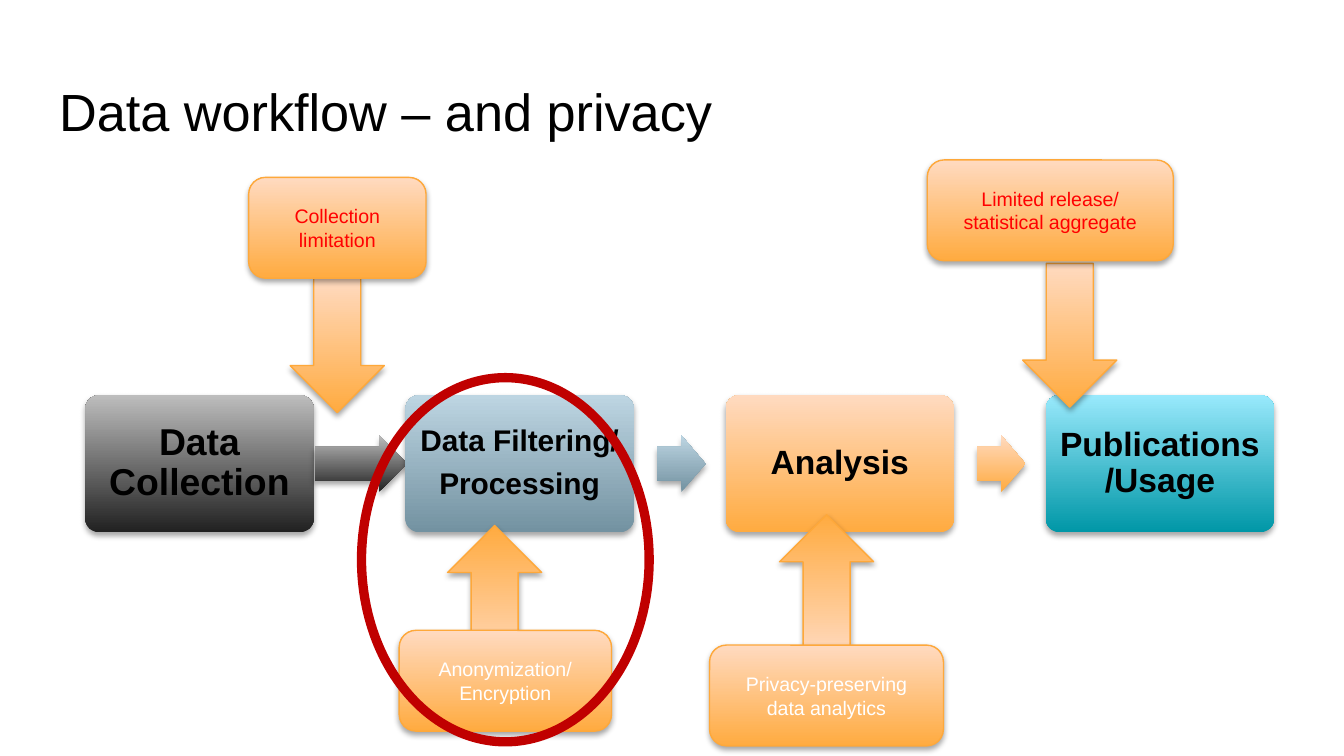
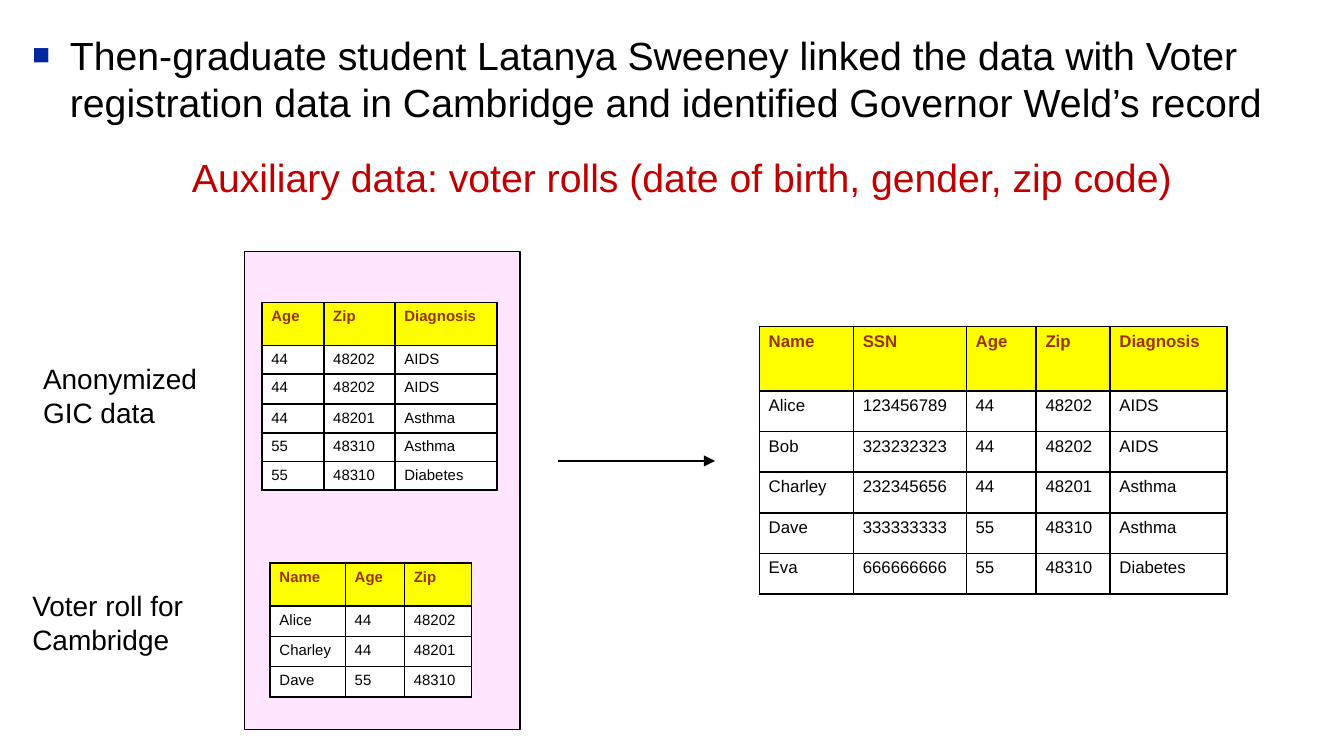
from lxml import etree
from pptx import Presentation
from pptx.dml.color import RGBColor
from pptx.enum.shapes import MSO_CONNECTOR, MSO_SHAPE
from pptx.enum.text import MSO_ANCHOR, MSO_AUTO_SIZE, PP_ALIGN
from pptx.oxml.ns import qn
from pptx.util import Inches, Pt

BLACK = RGBColor(0x00, 0x00, 0x00)
WHITE = RGBColor(0xFF, 0xFF, 0xFF)
RED = RGBColor(0xFF, 0x00, 0x00)
DARK_RED = RGBColor(0xC0, 0x00, 0x00)
ORANGE_LINE = RGBColor(0xFE, 0xA8, 0x3A)
PINK = RGBColor(0xFF, 0xCC, 0xFF)
YELLOW = RGBColor(0xFF, 0xFF, 0x00)
BROWN = RGBColor(0x99, 0x33, 0x00)
BULLET_BLUE = RGBColor(0x00, 0x27, 0x9F)
GREY_BLEND = (RGBColor(0x21, 0x21, 0x21), RGBColor(0xBD, 0xBD, 0xBD))
SLATE_BLEND = (RGBColor(0x73, 0x92, 0xA1), RGBColor(0xBD, 0xD5, 0xE2))
ORANGE_BLEND = (RGBColor(0xFF, 0xAB, 0x40), RGBColor(0xFF, 0xDA, 0xC0))
TEAL_BLEND = (RGBColor(0x00, 0x97, 0xA7), RGBColor(0x99, 0xE9, 0xFC))

FONT = "Arial"
COLUMNS, ROWS = 100, 56.25
TITLE_INSETS = (0.1, 0.1)
TIGHT_INSETS = (0.07, 0.04)
STEP_INSETS = (0.07, 0.07)
PLAIN_INSETS = (0.1, 0.05)


def grid(units):
    return Inches(units / 10)


def add_element(parent, tag, **attributes):
    element = etree.SubElement(parent, qn(tag))
    for name, value in attributes.items():
        element.set(name, str(value))
    return element


class Painter:
    def __init__(self):
        self.deck = Presentation()
        self.deck.slide_width = grid(COLUMNS)
        self.deck.slide_height = grid(ROWS)
        self.page = None

    def new_page(self, layout):
        self.page = self.deck.slides.add_slide(self.deck.slide_layouts.get_by_name(layout))

    def fill_frame(self, frame, lines, size, color=BLACK, bold=False, align=PP_ALIGN.LEFT,
                   anchor=MSO_ANCHOR.TOP, insets=PLAIN_INSETS, spacing=None, after=0):
        frame.word_wrap = True
        frame.vertical_anchor = anchor
        frame.margin_left = frame.margin_right = Inches(insets[0])
        frame.margin_top = frame.margin_bottom = Inches(insets[1])
        for index, line in enumerate(lines):
            para = frame.add_paragraph() if index else frame.paragraphs[0]
            self.add_span(para, line, size, color, bold, align)
            para.space_after = Pt(after)
            if spacing:
                para.line_spacing = spacing

    def add_span(self, para, text, size, color, bold, align):
        para.alignment = align
        span = para.add_run()
        span.text = text
        span.font.name = FONT
        span.font.size = Pt(size)
        span.font.bold = bold
        span.font.color.rgb = color

    def title(self, text, place):
        box = self.page.shapes.title
        box.left, box.top, box.width, box.height = map(grid, place)
        box.text_frame.auto_size = MSO_AUTO_SIZE.NONE
        self.fill_frame(box.text_frame, [text], 28, insets=TITLE_INSETS)

    def text(self, text, place, size, **style):
        box = self.page.shapes.add_textbox(*map(grid, place))
        self.fill_frame(box.text_frame, [text], size, **style)
        return box

    def bullet(self, text, place, size):
        box = self.text(text, place, size, insets=TIGHT_INSETS)
        properties = box.text_frame.paragraphs[0]._p.get_or_add_pPr()
        properties.set("marL", str(Inches(0.28)))
        properties.set("indent", str(Inches(-0.28)))
        color = add_element(properties, "a:buClr")
        add_element(color, "a:srgbClr", val=BULLET_BLUE)
        add_element(properties, "a:buSzPct", val=75000)
        add_element(properties, "a:buFont", typeface=FONT)
        add_element(properties, "a:buChar", char="■")

    def shape(self, kind, place, line=None, weight=0.75):
        shape = self.page.shapes.add_shape(kind, *map(grid, place))
        shape.shadow.inherit = False
        shape.fill.background()
        if line is None:
            shape.line.fill.background()
        else:
            shape.line.color.rgb = line
            shape.line.width = Pt(weight)
        return shape

    def blended(self, kind, place, blend, line=None):
        shape = self.shape(kind, place, line)
        shape.fill.gradient()
        shape.fill.gradient_angle = 90
        for stop, color in zip(shape.fill.gradient_stops, blend):
            stop.color.rgb = color
        effects = shape._element.spPr.find(qn("a:effectLst"))
        shadow = add_element(effects, "a:outerShdw", blurRad=Pt(3.1), dist=Pt(1.8),
                             dir=90 * 60000, rotWithShape=0)
        color = add_element(shadow, "a:srgbClr", val=BLACK)
        add_element(color, "a:alpha", val=35000)
        return shape

    def step(self, lines, size, place, blend):
        shape = self.blended(MSO_SHAPE.ROUNDED_RECTANGLE, place, blend)
        shape.adjustments[0] = 0.1
        self.fill_frame(shape.text_frame, lines, size, bold=True, align=PP_ALIGN.CENTER,
                        anchor=MSO_ANCHOR.MIDDLE, insets=STEP_INSETS, spacing=0.9,
                        after=0.35 * size)

    def step_arrow(self, place, blend):
        arrow = self.blended(MSO_SHAPE.RIGHT_ARROW, place, blend)
        arrow.adjustments[0] = 0.6

    def callout(self, lines, color, place, arrow_place, points_up):
        arrow = self.blended(MSO_SHAPE.DOWN_ARROW, arrow_place, ORANGE_BLEND, ORANGE_LINE)
        arrow.rotation = 180 if points_up else 0
        box = self.blended(MSO_SHAPE.ROUNDED_RECTANGLE, place, ORANGE_BLEND, ORANGE_LINE)
        self.fill_frame(box.text_frame, lines, 10.5, color, align=PP_ALIGN.CENTER,
                        anchor=MSO_ANCHOR.MIDDLE)

    def panel(self, place, color, opacity):
        panel = self.shape(MSO_SHAPE.RECTANGLE, place, BLACK)
        panel.fill.solid()
        panel.fill.fore_color.rgb = color
        value = panel._element.spPr.find(qn("a:solidFill")).find(qn("a:srgbClr"))
        add_element(value, "a:alpha", val=opacity * 1000)

    def arrow(self, start, end):
        arrow = self.page.shapes.add_connector(MSO_CONNECTOR.STRAIGHT, *map(grid, start + end))
        arrow.line.color.rgb = BLACK
        arrow.line.width = Pt(0.75)
        properties = arrow._element.spPr
        add_element(properties.find(qn("a:ln")), "a:tailEnd", type="triangle")
        add_element(properties, "a:effectLst")

    def table(self, corner, widths, heights, records, size):
        frame = self.page.shapes.add_table(len(heights), len(widths), *map(grid, corner),
                                           grid(sum(widths)), grid(sum(heights)))
        table = frame.table
        table.first_row = table.horz_banding = False
        for column, width in zip(table.columns, widths):
            column.width = grid(width)
        for row, height in zip(table.rows, heights):
            row.height = grid(height)
        for row_index, record in enumerate(records):
            for column_index, value in enumerate(record):
                self.cell(table.cell(row_index, column_index), value, size, row_index == 0)

    def cell(self, cell, value, size, heading):
        cell.margin_left = cell.margin_right = Inches(TIGHT_INSETS[0])
        cell.margin_top = cell.margin_bottom = Inches(TIGHT_INSETS[1])
        properties = cell._tc.get_or_add_tcPr()
        for side in ("a:lnL", "a:lnR", "a:lnT", "a:lnB"):
            border = add_element(properties, side, w=Pt(1))
            add_element(add_element(border, "a:solidFill"), "a:srgbClr", val=BLACK)
        cell.fill.solid()
        cell.fill.fore_color.rgb = YELLOW if heading else WHITE
        self.add_span(cell.text_frame.paragraphs[0], value, size,
                      BROWN if heading else BLACK, heading, PP_ALIGN.JUSTIFY)


def build_workflow(painter):
    painter.new_page("Title Only")
    painter.title("Data workflow – and privacy", (3.4, 4.9, 93.2, 6.3))

    steps = [
        (["Data Collection"], 20, GREY_BLEND),
        (["Data Filtering/", "Processing"], 16, SLATE_BLEND),
        (["Analysis"], 18, ORANGE_BLEND),
        (["Publications/Usage"], 18, TEAL_BLEND),
    ]
    step_left, step_pitch, step_width = 6.35, 23.82, 17
    arrows = [(23.4, 6.9), (48.9, 3.6), (72.7, 3.6)]
    for index, (lines, size, blend) in enumerate(steps):
        left = step_left + index * step_pitch
        painter.step(lines, size, (left, 29.4, step_width, 10.2), blend)
        if index < len(arrows):
            arrow_left, arrow_width = arrows[index]
            painter.step_arrow((arrow_left, 32.4, arrow_width, 4.2), blend)

    callouts = [
        (["Collection limitation"], RED, (18.5, 13.2, 13.2), (21.6, 20.7, 10), False),
        (["Anonymization/", "Encryption"], WHITE, (29.7, 46.9, 15.8), (33.3, 39.1, 10.7), True),
        (["Privacy-preserving data analytics"], WHITE, (52.8, 48, 17.4), (58, 38.3, 10.7), True),
        (["Limited release/ statistical aggregate"], RED, (69, 11.9, 18.3),
         (76.1, 19.6, 10.7), False),
    ]
    for lines, color, (left, top, width), (arrow_left, arrow_top, length), up in callouts:
        painter.callout(lines, color, (left, top, width, 7.5),
                        (arrow_left, arrow_top, 7, length), up)
    painter.shape(MSO_SHAPE.OVAL, (26.9, 28.1, 21.4, 27.1), DARK_RED, 5)


def build_linkage(painter):
    people = [
        ("Name", "SSN", "Age", "Zip", "Diagnosis"),
        ("Alice", "123456789", "44", "48202", "AIDS"),
        ("Bob", "323232323", "44", "48202", "AIDS"),
        ("Charley", "232345656", "44", "48201", "Asthma"),
        ("Dave", "333333333", "55", "48310", "Asthma"),
        ("Eva", "666666666", "55", "48310", "Diabetes"),
    ]
    anonymized = [person[2:] for person in people]
    voters = [(people[index][0],) + people[index][2:4] for index in (0, 1, 3, 4)]

    painter.new_page("Blank")
    painter.panel((18.2, 18.7, 20.5, 35.6), PINK, 50)
    painter.table((56.5, 24.3), (7, 8.4, 5.2, 5.5, 8.7), [4.8] + [3.02] * 5, people, 9)
    painter.table((20.1, 41.9), (5.6, 4.4, 5), [3.2] + [2.25] * 3, voters, 8)
    painter.text("Voter roll for Cambridge", (1.7, 43.4, 14.8, 5.8), 15, insets=TIGHT_INSETS)
    painter.bullet("Then-graduate student Latanya Sweeney linked the data with Voter "
                   "registration data in Cambridge and identified Governor Weld’s record",
                   (1.7, 1.9, 95.2, 11.9), 21)
    painter.table((19.5, 22.5), (4.6, 5.3, 7.6), (3.2, 2.1, 2.25, 2.1, 2.1, 2.1),
                  anonymized, 8)
    painter.text("Auxiliary data: voter rolls (date of birth, gender, zip code)",
                 (13.3, 10.9, 79.8, 4.5), 21, color=DARK_RED)
    painter.text("Anonymized GIC data", (2.5, 26.5, 14.8, 5.8), 15, insets=TIGHT_INSETS)
    painter.arrow((41.5, 34.3), (53.2, 34.3))


def main():
    painter = Painter()
    build_workflow(painter)
    build_linkage(painter)
    painter.deck.save("out.pptx")


if __name__ == "__main__":
    main()
